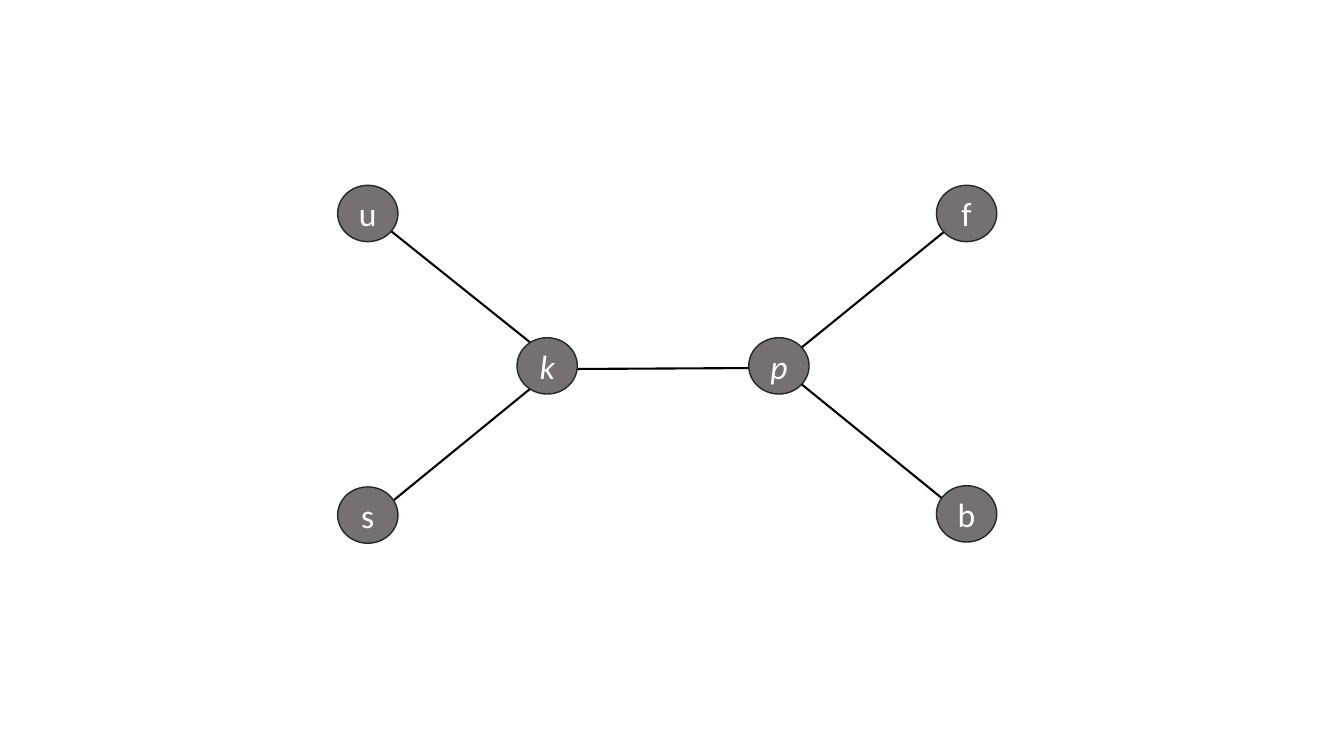
import pptx
import pptx.util
import pptx.dml.color
import pptx.enum.shapes
import pptx.enum.text
from lxml import etree

Cm = pptx.util.Cm
Pt = pptx.util.Pt

COLORS = {"edge": "000000", "node": "767171", "outline": "262626", "label": "FFFFFF"}
FONT = "Calibri"
NODE_WIDTH, NODE_HEIGHT = 1.52, 1.42

EDGES = [
    ((14.02, 9.3), (19.76, 9.27)),
    ((9.4, 5.46), (14.1, 9.22)),
    ((9.4, 13.03), (13.97, 9.3)),
    ((19.63, 9.22), (24.36, 13.06)),
    ((24.36, 5.38), (19.63, 9.22)),
]

NODES = [
    ("p", 19.63, 9.22, True),
    ("b", 24.36, 12.95, False),
    ("f", 24.36, 5.38, False),
    ("u", 9.27, 5.38, False),
    ("s", 9.27, 12.98, False),
    ("k", 13.79, 9.22, True),
]


def rgb(part):
    return pptx.dml.color.RGBColor.from_string(COLORS[part])


def add_edge(slide, start, end):
    edge = slide.shapes.add_connector(
        pptx.enum.shapes.MSO_CONNECTOR.STRAIGHT, *map(Cm, start + end)
    )
    edge.line.color.rgb = rgb("edge")
    edge.line.width = Pt(1.5)
    properties = edge._element.spPr
    etree.SubElement(properties, pptx.oxml.ns.qn("a:effectLst"))


def add_node(slide, label, x, y, italic):
    node = slide.shapes.add_shape(
        pptx.enum.shapes.MSO_SHAPE.OVAL,
        Cm(x - NODE_WIDTH / 2), Cm(y - NODE_HEIGHT / 2),
        Cm(NODE_WIDTH), Cm(NODE_HEIGHT),
    )
    node.shadow.inherit = False
    node.fill.solid()
    node.fill.fore_color.rgb = rgb("node")
    node.line.color.rgb = rgb("outline")
    node.line.width = Pt(1)
    node.text_frame.vertical_anchor = pptx.enum.text.MSO_ANCHOR.MIDDLE
    paragraph = node.text_frame.paragraphs[0]
    paragraph.alignment = pptx.enum.text.PP_ALIGN.CENTER
    letter = paragraph.add_run()
    letter.text = label
    letter.font.name = FONT
    letter.font.size = Pt(24)
    letter.font.italic = italic
    letter.font.color.rgb = rgb("label")


def main():
    deck = pptx.Presentation()
    deck.slide_width, deck.slide_height = Cm(33.87), Cm(19.05)
    slide = deck.slides.add_slide(deck.slide_layouts[6])
    for start, end in EDGES:
        add_edge(slide, start, end)
    for node in NODES:
        add_node(slide, *node)
    deck.save("out.pptx")


if __name__ == "__main__":
    main()
